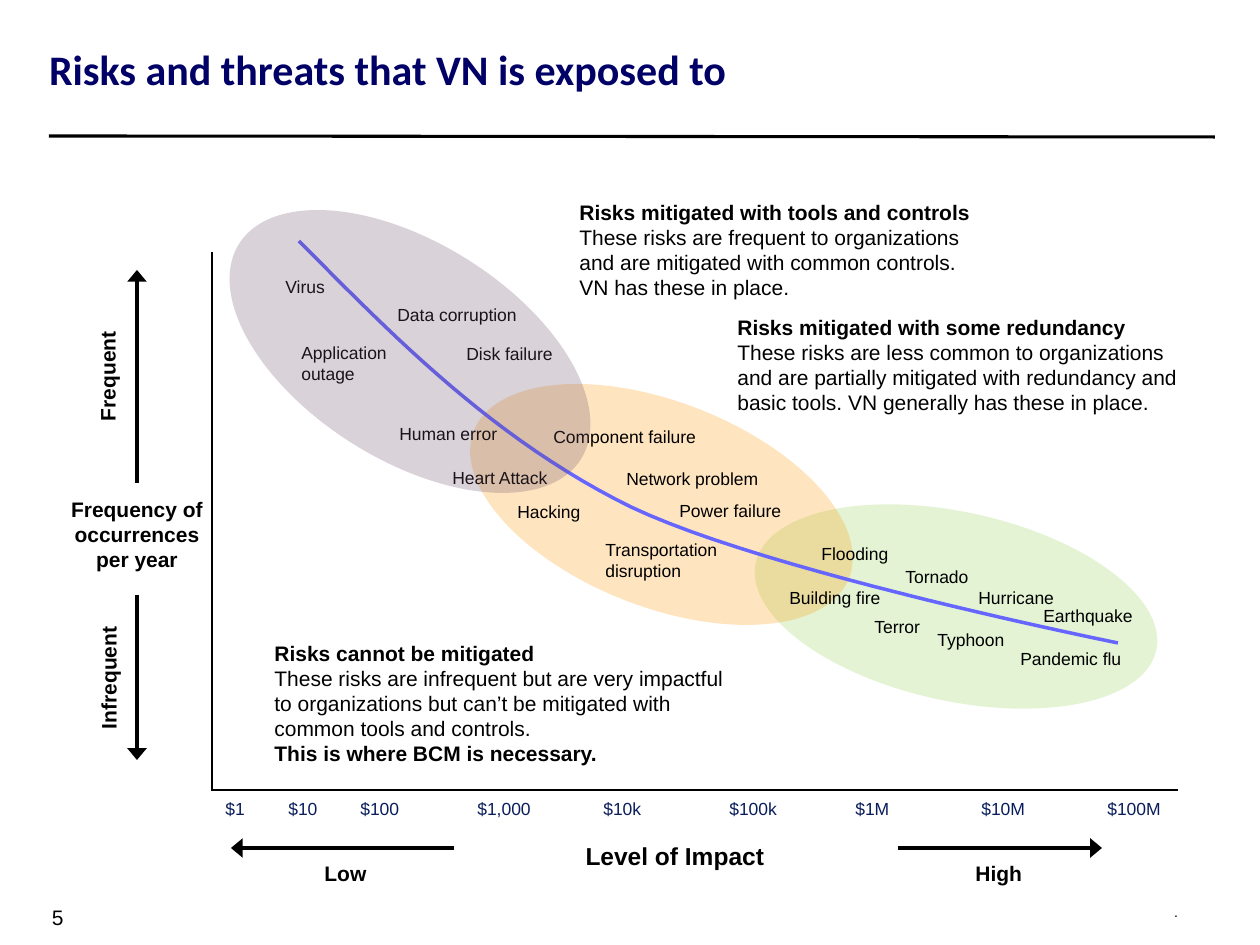
"""Builds a slide that maps risks by frequency and level of impact."""
from lxml.etree import SubElement
from pptx import Presentation
from pptx.dml.color import RGBColor
from pptx.enum.shapes import MSO_CONNECTOR, MSO_SHAPE
from pptx.enum.text import MSO_ANCHOR, MSO_AUTO_SIZE, PP_ALIGN
from pptx.oxml.ns import qn
from pptx.util import Emu, Pt

SCALE = 914400 / 126


def px(*lengths):
    return [Emu(round(length * SCALE)) for length in lengths]


def add_text(box, wording, size, bold=False, color="000000", align=PP_ALIGN.LEFT,
             tabs=(), inset=True):
    holder = slide.shapes.add_textbox(*px(*box))
    frame = holder.text_frame
    frame.word_wrap = False
    frame.auto_size = MSO_AUTO_SIZE.NONE
    if not inset:
        frame.margin_left = frame.margin_right = frame.margin_top = frame.margin_bottom = 0
        frame.vertical_anchor = MSO_ANCHOR.BOTTOM
    frame.text = wording
    for paragraph in frame.paragraphs:
        paragraph.alignment = align
        if tabs:
            stops = SubElement(paragraph._p.get_or_add_pPr(), qn("a:tabLst"))
            for position in px(*tabs):
                SubElement(stops, qn("a:tab"), pos=str(position), algn="l")
        paragraph.font.name = "Arial"
        paragraph.font.size = Pt(size)
        paragraph.font.bold = bold
        paragraph.font.color.rgb = RGBColor.from_string(color)
    return holder


deck = Presentation()
deck.slide_width, deck.slide_height = px(1260, 945)
slide = deck.slides.add_slide(deck.slide_layouts[5])

title = slide.shapes.title
title.left, title.top, title.width, title.height = px(49, 49, 1160, 87)
heading = title.text_frame
heading.margin_left = heading.margin_right = heading.margin_top = heading.margin_bottom = 0
heading.vertical_anchor = MSO_ANCHOR.TOP
heading.text = "Risks and threats that VN is exposed to"
headline = heading.paragraphs[0]
headline.alignment = PP_ALIGN.LEFT
headline.line_spacing = 0.9
headline.font.name = "Calibri"
headline.font.size = Pt(24)
headline.font.bold = True
headline.font.color.rgb = RGBColor.from_string("000066")

add_text((1174, 904, 4, 16), ".", 8, align=PP_ALIGN.RIGHT, inset=False)
add_text((52, 914, 49, 16), "5", 12, inset=False)

lines = [
    (49, 136, 1215, 137, 1.75, False),
    (212, 252, 212, 791, 0.75, False),
    (212, 790, 1178, 790, 1, False),
    (137, 595, 137, 760, 2.25, True),
    (137, 483, 137, 270, 2.25, True),
    (454, 848, 231, 848, 2.25, True),
    (898, 848, 1102, 848, 2.25, True),
]
for *ends, weight, has_arrow in lines:
    line = slide.shapes.add_connector(MSO_CONNECTOR.STRAIGHT, *px(*ends))
    line.line.color.rgb = RGBColor.from_string("000000")
    line.line.width = Pt(weight)
    if has_arrow:
        SubElement(line.line._get_or_add_ln(), qn("a:tailEnd"), type="triangle", w="lg")
    SubElement(line._element.spPr, qn("a:effectLst"))

risk_groups = [
    ((751, 512, 410, 189), 12.3, "92D050"),
    ((460, 402, 403, 205), 21.4, "FF9900"),
    ((208, 243, 404, 217), 32.2, "684D68"),
]
zones = []
for box, angle, color in risk_groups:
    zone = slide.shapes.add_shape(MSO_SHAPE.OVAL, *px(*box))
    zone.rotation = angle
    zone.shadow.inherit = False
    zone.fill.solid()
    zone.fill.fore_color.rgb = RGBColor.from_string(color)
    SubElement(zone.fill._xPr.find(".//" + qn("a:srgbClr")), qn("a:alpha"), val="25000")
    zone.line.fill.background()
    zones.append(zone)

curve_points = []
for start, bend_out, bend_in, end in [
    ((299, 241), (397, 340), (495, 440), (631, 507)),
    ((631, 507), (769, 573), (1118, 643), (1118, 643)),
]:
    for step in range(25):
        t = step / 24
        weights = ((1 - t) ** 3, 3 * t * (1 - t) ** 2, 3 * t ** 2 * (1 - t), t ** 3)
        curve_points.append([
            round(sum(w * value for w, value in zip(weights, values)) * SCALE)
            for values in zip(start, bend_out, bend_in, end)
        ])
outline = slide.shapes.build_freeform(*curve_points[0])
outline.add_line_segments(curve_points[1:], close=False)
curve = outline.convert_to_shape()
curve.shadow.inherit = False
curve.fill.background()
curve.line.color.rgb = RGBColor.from_string("6666FF")
curve.line.width = Pt(2)

risks = [
    (273, 270, 66, "Virus"),
    (385, 298, 145, "Data corruption"),
    (289, 336, 111, "Application\noutage"),
    (454, 337, 112, "Disk failure"),
    (387, 417, 123, "Human error"),
    (440, 461, 121, "Heart Attack"),
    (541, 420, 168, "Component failure"),
    (614, 462, 158, "Network problem"),
    (505, 495, 88, "Hacking"),
    (667, 494, 127, "Power failure"),
    (593, 533, 137, "Transportation\ndisruption"),
    (809, 537, 92, "Flooding"),
    (893, 560, 91, "Tornado"),
    (777, 581, 116, "Building fire"),
    (966, 581, 101, "Hurricane"),
    (1031, 599, 115, "Earthquake"),
    (862, 610, 73, "Terror"),
    (925, 623, 93, "Typhoon"),
    (1008, 642, 126, "Pandemic flu"),
]
for left, top, width, risk in risks:
    add_text((left, top, width, 54 if "\n" in risk else 34), risk, 10)
slide.shapes._spTree.append(zones[-1]._element)

add_text((58, 490, 158, 88), "Frequency of\noccurrences\nper year", 12, True,
         align=PP_ALIGN.CENTER)
add_text((573, 835, 204, 42), "Level of Impact", 14, True, align=PP_ALIGN.CENTER)
add_text((213, 792, 960, 34), "$1\t$10\t$100\t$1,000\t$10k\t$100k\t$1M\t$10M\t$100M", 10,
         color="091D5D", tabs=[63, 135, *range(252, 883, 126)])
for box, level, angle in [
    ((50, 357, 115, 38), "Frequent", 270),
    ((44, 658, 129, 38), "Infrequent", 270),
    ((312, 854, 67, 38), "Low", 0),
    ((963, 854, 72, 38), "High", 0),
]:
    add_text(box, level, 12, True).rotation = angle

notes = [
    ((567, 193, 410, 95), "Risks mitigated with tools and controls\n"
     "These risks are frequent to organizations\n"
     "and are mitigated with common controls.\nVN has these in place.", [0]),
    ((725, 308, 462, 95), "Risks mitigated with some redundancy\n"
     "These risks are less common to organizations\n"
     "and are partially mitigated with redundancy and\n"
     "basic tools. VN generally has these in place.", [0]),
    ((262, 634, 420, 136), "Risks cannot be mitigated\n"
     "These risks are infrequent but are very impactful\n"
     "to organizations but can’t be mitigated with\n"
     "common tools and controls.\nThis is where BCM is necessary.", [0, -1]),
]
for box, wording, strong_lines in notes:
    note = add_text(box, wording, 12)
    for index in strong_lines:
        note.text_frame.paragraphs[index].font.bold = True

deck.save("out.pptx")
